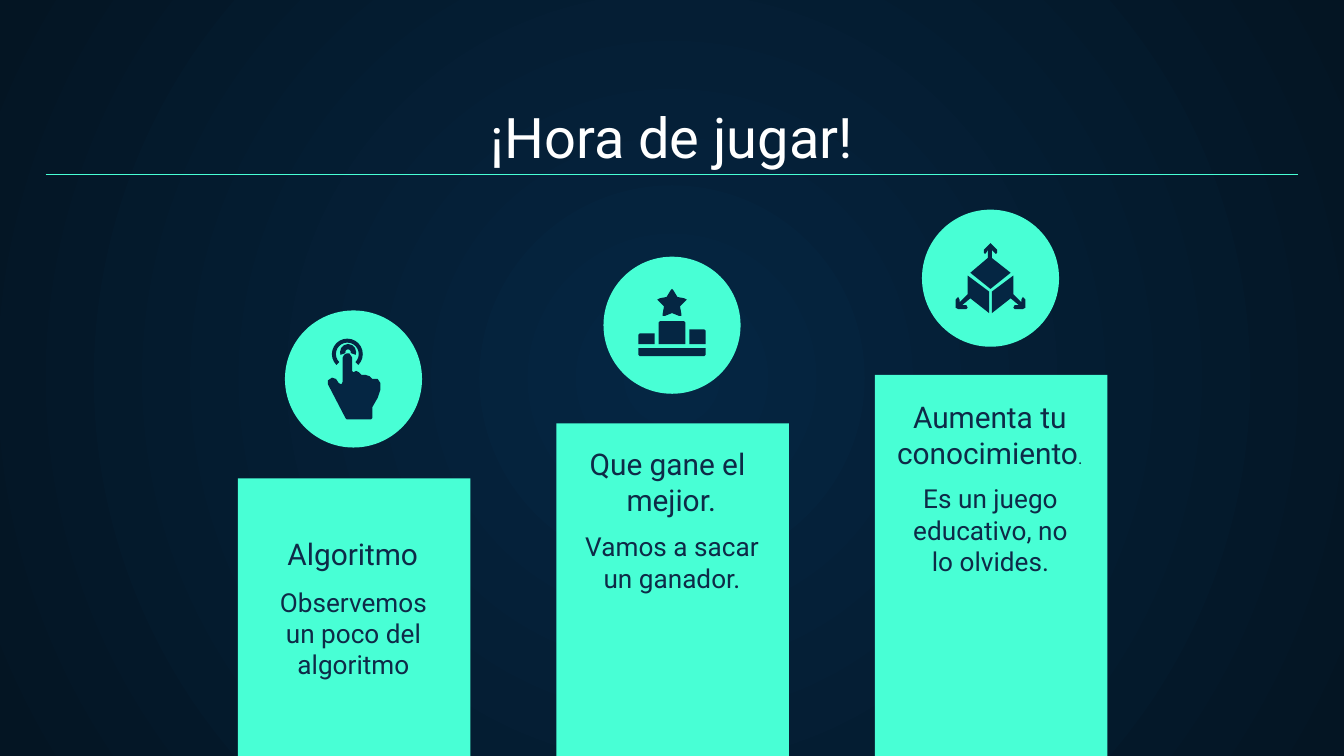
from lxml.etree import SubElement
from pptx import Presentation
from pptx.dml.color import RGBColor
from pptx.enum.shapes import MSO_CONNECTOR as Connector, MSO_SHAPE as Shape
from pptx.enum.text import MSO_ANCHOR as Anchor, MSO_AUTO_SIZE as AutoSize, PP_ALIGN as Align
from pptx.oxml.ns import qn
from pptx.util import Pt

SCALE = 9144
WIDTH = 1000
MARGIN = 34
COLUMN_LEFT, COLUMN_STEP = 177, 237
BAR_WIDTH, BAR_BOTTOM = 173, 566
CIRCLE_SIZE = 102
INSET = 10

MINT = RGBColor(0x48, 0xFF, 0xD5)
NAVY = RGBColor(0x05, 0x26, 0x43)
NIGHT = RGBColor(0x04, 0x15, 0x23)
INK = RGBColor(0x0E, 0x2A, 0x47)
WHITE = RGBColor(0xFF, 0xFF, 0xFF)

COLUMNS = [
    (356, 231, [("Algoritmo", 16)], "Observemos un poco del algoritmo"),
    (315, 191, [("Que gane el \nmejior.", 16)], "Vamos a sacar un ganador."),
    (279, 156, [("Aumenta tu conocimiento", 16), (".", 9)],
     "Es un juego educativo, no lo olvides."),
]

HAND = [
    (258, 263), (256, 264), (255, 266), (255, 284), (254, 286), (252, 285),
    (250, 282), (247, 281), (244, 283), (244, 286), (257, 311), (258, 312),
    (276, 312), (277, 311), (277, 303), (281, 296), (283, 290), (283, 285),
    (281, 282), (277, 282), (275, 280), (272, 279), (269, 279), (267, 277),
    (265, 276), (263, 277), (262, 276), (262, 266), (260, 263),
]
TOUCH_RINGS = [
    ((247, 252, 23, 23), (81, 27, 0.13)),
    ((253, 256, 12, 12), (96, 12, 0.33)),
]
PODIUM = [
    [(500, 215), (499, 216), (496, 221), (491, 222), (489, 223), (490, 224),
     (494, 228), (493, 234), (493, 235), (495, 235), (500, 233), (505, 235),
     (507, 235), (507, 234), (506, 228), (510, 224), (511, 223), (509, 222),
     (504, 221), (501, 216)],
    [(513, 245), (513, 256), (525, 256), (525, 246), (524, 245)],
    [(491, 239), (490, 240), (490, 256), (510, 256), (510, 240), (509, 239)],
    [(475, 259), (475, 264), (476, 265), (524, 265), (525, 264), (525, 259)],
    [(476, 248), (475, 249), (475, 256), (487, 256), (487, 248)],
]
CUBE_AXIS = 737
CUBE_TOP = [
    (737, 181), (736, 182), (732, 186), (732, 188), (733, 189), (734, 188),
    (735, 186), (735, 192), (722, 203), (737, 215), (752, 203), (738, 192),
    (738, 186), (740, 188), (741, 189), (742, 188), (742, 186), (738, 182),
]
CUBE_RIGHT = [
    (754, 205), (738, 217), (738, 233), (752, 222), (758, 227), (755, 227),
    (754, 229), (755, 230), (761, 230), (763, 229), (763, 223), (761, 221),
    (760, 223), (760, 225), (754, 219),
]
CUBE_LEFT = [(2 * CUBE_AXIS - x, y) for x, y in CUBE_RIGHT]


def px(length):
    return int(length * SCALE)


def set_background(slide):
    fill = slide.background.fill
    fill.gradient()
    for stop, color in zip(fill.gradient_stops, (NAVY, NIGHT)):
        stop.color.rgb = color
    gradient = slide._element.find(".//" + qn("a:gradFill"))
    gradient.remove(gradient.find(qn("a:lin")))
    route = SubElement(gradient, qn("a:path"), path="circle")
    SubElement(route, qn("a:fillToRect"), l="50000", t="50000", r="50000", b="50000")


def paint(shape, color):
    shape.shadow.inherit = False
    shape.fill.solid()
    shape.fill.fore_color.rgb = color
    shape.line.fill.background()


def add_preset(shapes, kind, box, color, adjustments=()):
    shape = shapes.add_shape(kind, *map(px, box))
    for index, value in enumerate(adjustments):
        shape.adjustments[index] = value
    paint(shape, color)


def add_outline(shapes, points):
    builder = shapes.build_freeform(*points[0], scale=SCALE)
    builder.add_line_segments(points[1:], close=True)
    paint(builder.convert_to_shape(), NAVY)


def add_icon(slide, outlines, rings=()):
    shapes = slide.shapes.add_group_shape().shapes
    for box, adjustments in rings:
        add_preset(shapes, Shape.BLOCK_ARC, box, NAVY, adjustments)
    for points in outlines:
        add_outline(shapes, points)


def write_text(shape, box, runs, *, color=INK, anchor=Anchor.TOP):
    shape.left, shape.top, shape.width, shape.height = map(px, box)
    frame = shape.text_frame
    frame.word_wrap = True
    frame.auto_size = AutoSize.NONE
    frame.vertical_anchor = anchor
    frame.margin_left = frame.margin_right = px(INSET)
    frame.margin_top = frame.margin_bottom = px(INSET)
    paragraph = frame.paragraphs[0]
    paragraph.alignment = Align.CENTER
    for text, size in runs:
        for number, line in enumerate(text.split("\n")):
            if number:
                paragraph.add_line_break()
                line_break = paragraph._p.findall(qn("a:br"))[-1]
                SubElement(line_break, qn("a:rPr"), sz=str(size * 100))
            run = paragraph.add_run()
            run.text = line
            run.font.name = "Roboto"
            run.font.size = Pt(size)
            run.font.color.rgb = color


def add_text(slide, box, runs, **style):
    write_text(slide.shapes.add_textbox(*map(px, box)), box, runs, **style)


def add_column(slide, left, bar_top, circle_top, heading, body):
    bar = (left, bar_top, BAR_WIDTH, BAR_BOTTOM - bar_top)
    circle = (left + 35, circle_top, CIRCLE_SIZE, CIRCLE_SIZE)
    add_preset(slide.shapes, Shape.RECTANGLE, bar, MINT)
    add_preset(slide.shapes, Shape.OVAL, circle, MINT)
    add_text(slide, (left + 10, bar_top + 70, 152, 55), [(body, 14)])
    add_text(slide, (left - 28, circle_top + 183, 227, 21), heading, anchor=Anchor.BOTTOM)


def add_rule(slide, y):
    line = slide.shapes.add_connector(
        Connector.STRAIGHT, px(MARGIN), px(y), px(WIDTH - MARGIN), px(y))
    line.line.color.rgb = MINT
    line.line.width = Pt(0.75)
    SubElement(line._element.spPr, qn("a:effectLst"))


def main():
    presentation = Presentation()
    presentation.slide_width = px(WIDTH)
    presentation.slide_height = px(WIDTH) * 9 // 16
    slide = presentation.slides.add_slide(presentation.slide_layouts[5])
    set_background(slide)
    write_text(slide.shapes.title, (MARGIN, 70, WIDTH - 2 * MARGIN, 66),
               [("¡Hora de jugar!", 30)], color=WHITE, anchor=Anchor.BOTTOM)
    for index, column in enumerate(COLUMNS):
        add_column(slide, COLUMN_LEFT + index * COLUMN_STEP, *column)
    add_icon(slide, [HAND], TOUCH_RINGS)
    add_icon(slide, PODIUM)
    add_icon(slide, [CUBE_TOP, CUBE_LEFT, CUBE_RIGHT])
    add_rule(slide, 130)
    presentation.save("out.pptx")


if __name__ == "__main__":
    main()
